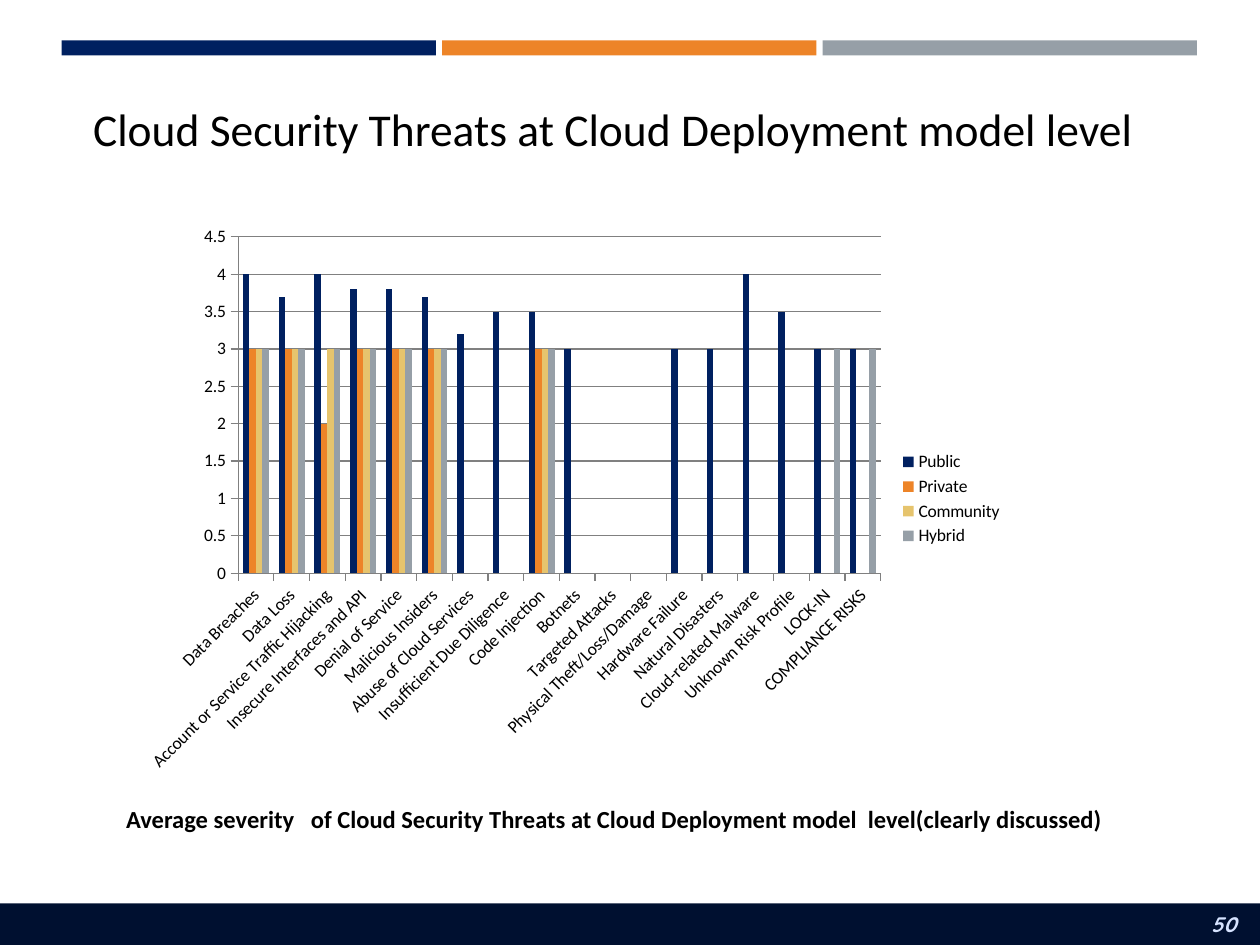
from dataclasses import dataclass

from lxml.etree import SubElement
from pptx import Presentation
from pptx.chart.data import CategoryChartData
from pptx.dml.color import RGBColor
from pptx.enum.chart import XL_CHART_TYPE, XL_LEGEND_POSITION, XL_TICK_MARK
from pptx.enum.shapes import MSO_SHAPE
from pptx.enum.text import MSO_ANCHOR, MSO_AUTO_SIZE, PP_ALIGN
from pptx.oxml.ns import qn
from pptx.util import Inches, Pt


@dataclass(frozen=True)
class Theme:
    """Colours, fonts and type sizes of the slide."""
    navy: str = "002060"
    orange: str = "ED8428"
    sand: str = "E6C46D"
    grey: str = "969FA7"
    footer: str = "001030"
    number: str = "D6E3FF"
    ink: str = "000000"
    grid: str = "808080"
    body_font: str = "Calibri"
    number_font: str = "Quicksand"
    heading_size: int = 26
    caption_size: int = 14
    number_size: int = 12
    chart_size: int = 10


THEME = Theme()

THREATS = [
    ("Data Breaches", 4, 3, 3, 3),
    ("Data Loss", 3.7, 3, 3, 3),
    ("Account or Service Traffic Hijacking", 4, 2, 3, 3),
    ("Insecure Interfaces and API", 3.8, 3, 3, 3),
    ("Denial of Service", 3.8, 3, 3, 3),
    ("Malicious Insiders", 3.7, 3, 3, 3),
    ("Abuse of Cloud Services", 3.2, None, None, None),
    ("Insufficient Due Diligence", 3.5, None, None, None),
    ("Code Injection", 3.5, 3, 3, 3),
    ("Botnets", 3, None, None, None),
    ("Targeted Attacks", None, None, None, None),
    ("Physical Theft/Loss/Damage", None, None, None, None),
    ("Hardware Failure", 3, None, None, None),
    ("Natural Disasters", 3, None, None, None),
    ("Cloud-related Malware", 4, None, None, None),
    ("Unknown Risk Profile", 3.5, None, None, None),
    ("LOCK-IN", 3, None, None, 3),
    ("COMPLIANCE RISKS", 3, None, None, 3),
]
MODELS = {"Public": THEME.navy, "Private": THEME.orange,
          "Community": THEME.sand, "Hybrid": THEME.grey}


def lengths(box):
    """Turn a box given in inches into slide lengths."""
    return [Inches(value) for value in box]


def style_font(font, size, color, name=THEME.body_font, bold=False, italic=False):
    """Apply face, size, colour and emphasis to a font."""
    font.name, font.size = name, Pt(size)
    font.bold, font.italic = bold, italic
    font.color.rgb = RGBColor.from_string(color)


def add_bar(page, box, color):
    """Draw one plain filled rectangle."""
    bar = page.shapes.add_shape(MSO_SHAPE.RECTANGLE, *lengths(box))
    bar.shadow.inherit = False
    bar.fill.solid()
    bar.fill.fore_color.rgb = RGBColor.from_string(color)
    bar.line.fill.background()


def write_line(shape, text, align=PP_ALIGN.LEFT, **style):
    """Write one vertically centred paragraph into a shape."""
    frame = shape.text_frame
    frame.word_wrap = True
    frame.auto_size = MSO_AUTO_SIZE.NONE
    frame.vertical_anchor = MSO_ANCHOR.MIDDLE
    frame.text = text
    para = frame.paragraphs[0]
    para.alignment = align
    style_font(para.runs[0].font, **style)


def add_header_bars(page, box, gap=0.05):
    """Split the box into three equal coloured bars."""
    left, top, width, height = box
    colors = (THEME.navy, THEME.orange, THEME.grey)
    bar_width = (width - gap * (len(colors) - 1)) / len(colors)
    for index, color in enumerate(colors):
        add_bar(page, (left + index * (bar_width + gap), top, bar_width, height), color)


def add_heading(page, box):
    """Write the large heading above the chart."""
    heading = page.shapes.add_textbox(*lengths(box))
    write_line(heading, "Cloud Security Threats at Cloud Deployment model level",
               size=THEME.heading_size, color=THEME.ink)


def add_caption(page, box):
    """Move the title placeholder below the chart as its bold caption."""
    caption = page.shapes.title
    caption.left, caption.top, caption.width, caption.height = lengths(box)
    write_line(caption, "Average severity   of Cloud Security Threats at Cloud "
               "Deployment model  level(clearly discussed)",
               size=THEME.caption_size, color=THEME.ink, bold=True)


def add_footer(page, box):
    """Draw the footer band with the page number at its right end."""
    left, top, width, height = box
    add_bar(page, box, THEME.footer)
    number = page.shapes.add_textbox(
        *lengths((left + width - 1.59, top, 1.5, height)))
    write_line(number, "50", PP_ALIGN.RIGHT, size=THEME.number_size,
               color=THEME.number, name=THEME.number_font, bold=True, italic=True)


def fix_plot_area(chart, box, plot_box):
    """Pin the inner plot area, in inches from the chart's corner."""
    plot_area = chart.plots[0]._element.getparent()
    layout = plot_area.find(qn("c:layout"))
    if layout is None:
        layout = SubElement(plot_area, qn("c:layout"))
        plot_area.insert(0, layout)
    manual = SubElement(layout, qn("c:manualLayout"))
    fractions = [part / whole for part, whole in zip(plot_box, box[2:] * 2)]
    settings = {"layoutTarget": "inner", "xMode": "edge", "yMode": "edge",
                **dict(zip("xywh", fractions))}
    for tag, value in settings.items():
        SubElement(manual, qn(f"c:{tag}")).set("val", str(value))


def add_severity_chart(page, box):
    """Plot threat severity as columns clustered by deployment model."""
    names, *columns = zip(*THREATS)
    data = CategoryChartData()
    data.categories = names
    for model, values in zip(MODELS, columns):
        data.add_series(model, values)
    chart = page.shapes.add_chart(
        XL_CHART_TYPE.COLUMN_CLUSTERED, *lengths(box), data).chart
    chart.has_title = False
    style_font(chart.font, THEME.chart_size, THEME.ink)
    fix_plot_area(chart, box, (0.85, 0.17, 5.1, 2.67))

    chart.has_legend = True
    chart.legend.position = XL_LEGEND_POSITION.RIGHT
    chart.legend.include_in_layout = False

    plot = chart.plots[0]
    plot.vary_by_categories = False
    plot.gap_width, plot.overlap = 150, 0
    for series, color in zip(plot.series, MODELS.values()):
        series.format.fill.solid()
        series.format.fill.fore_color.rgb = RGBColor.from_string(color)

    values, categories = chart.value_axis, chart.category_axis
    values.minimum_scale, values.maximum_scale, values.major_unit = 0, 4.5, 0.5
    values.has_major_gridlines = True
    for axis in (values, categories):
        axis.major_tick_mark = XL_TICK_MARK.OUTSIDE
        style_font(axis.tick_labels.font, THEME.chart_size, THEME.ink)
    for part in (values, categories, values.major_gridlines):
        part.format.line.color.rgb = RGBColor.from_string(THEME.grid)
        part.format.line.width = Pt(0.75)
    label_body = categories._element.find(qn("c:txPr")).find(qn("a:bodyPr"))
    label_body.set("rot", "-2700000")
    label_body.set("vert", "horz")


def main():
    """Build the slide and save the deck."""
    deck = Presentation()
    deck.slide_width, deck.slide_height = Inches(10), Inches(7.5)
    page = deck.slides.add_slide(deck.slide_layouts[5])
    add_header_bars(page, (0.49, 0.32, 9.01, 0.12))
    add_footer(page, (0, 7.17, 10, 0.33))
    add_caption(page, (0.9, 6.32, 8.74, 0.36))
    add_severity_chart(page, (1.04, 1.71, 7.02, 4.5))
    add_heading(page, (0.64, 0.53, 8.74, 0.98))
    deck.save("out.pptx")


if __name__ == "__main__":
    main()
